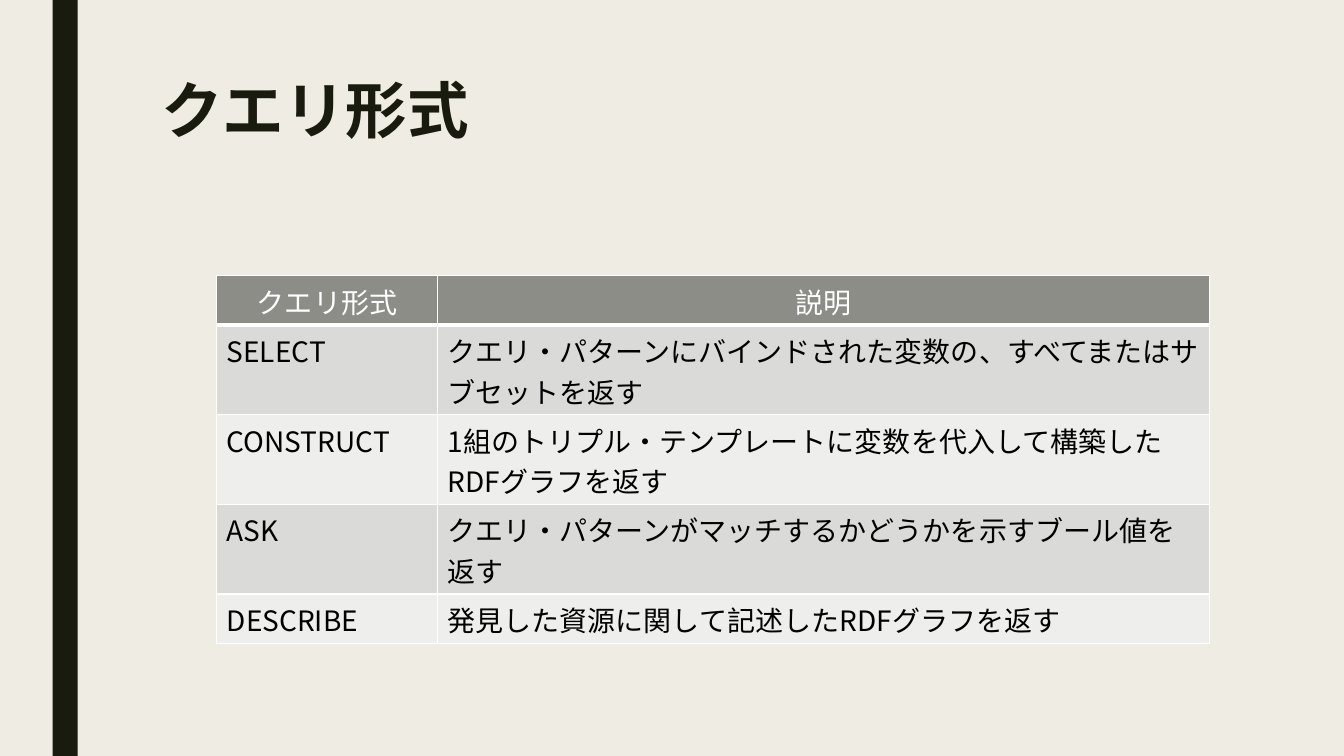
import pptx
import pptx.util
import pptx.dml.color
import pptx.enum.shapes
import pptx.enum.text
import pptx.oxml
import pptx.oxml.ns
from pptx.util import Pt

FONT = "Noto Sans CJK JP"
COLOURS = {
    "background": "EFEDE3",
    "dark": "191B0E",
    "header": "8C8D86",
    "odd": "DADBD9",
    "even": "EEEEED",
    "white": "FFFFFF",
    "black": "000000",
}
ONE_LINE = Pt(35.2)
TWO_LINES = Pt(64.1)
QUERY_FORMS = [
    (ONE_LINE, "クエリ形式", "説明"),
    (TWO_LINES, "SELECT", "クエリ・パターンにバインドされた変数の、すべてまたはサブセットを返す"),
    (TWO_LINES, "CONSTRUCT", "1組のトリプル・テンプレートに変数を代入して構築したRDFグラフを返す"),
    (TWO_LINES, "ASK", "クエリ・パターンがマッチするかどうかを示すブール値を返す"),
    (ONE_LINE, "DESCRIBE", "発見した資源に関して記述したRDFグラフを返す"),
]


def paint(fill, colour):
    fill.solid()
    fill.fore_color.rgb = pptx.dml.color.RGBColor.from_string(COLOURS[colour])


def write(frame, text, colour, paragraph_format, font_format):
    paragraph = frame.paragraphs[0]
    for key, value in paragraph_format.items():
        setattr(paragraph, key, value)
    run = paragraph.add_run()
    run.text = text
    paint(run.font.fill, colour)
    for key, value in {"name": FONT, **font_format}.items():
        setattr(run.font, key, value)
    east_asian = pptx.oxml.parse_xml(
        f'<a:ea {pptx.oxml.ns.nsdecls("a")} typeface="{FONT}"/>')
    run.font._element.append(east_asian)


def add_side_bar(slide, height):
    bar = slide.shapes.add_shape(
        pptx.enum.shapes.MSO_SHAPE.RECTANGLE, Pt(37.5), 0, Pt(18), height)
    bar.shadow.inherit = False
    bar.line.fill.background()
    paint(bar.fill, "dark")


def add_title(slide, text):
    title = slide.shapes.add_textbox(Pt(108), Pt(54), Pt(756), Pt(116.6))
    title.text_frame.word_wrap = True
    write(title.text_frame, text, "dark", {"line_spacing": 0.89},
          {"size": Pt(44), "bold": True})


def add_borders(cell, widths):
    properties = cell._tc.get_or_add_tcPr()
    for position, (side, width) in enumerate(widths.items()):
        border = pptx.oxml.parse_xml(
            f'<a:ln{side} {pptx.oxml.ns.nsdecls("a")} w="{Pt(width)}">'
            f'<a:solidFill><a:srgbClr val="{COLOURS["white"]}"/></a:solidFill>'
            f'</a:ln{side}>')
        properties.insert(position, border)


def add_query_table(slide, rows):
    column_widths = [Pt(157.7), Pt(551.5)]
    table = slide.shapes.add_table(
        len(rows), len(column_widths), Pt(154.8), Pt(196.8),
        sum(column_widths), sum(height for height, *_ in rows)).table
    table.first_row = False
    table.horz_banding = False
    for column, width in zip(table.columns, column_widths):
        column.width = width
    align = pptx.enum.text.PP_ALIGN
    for index, (height, *texts) in enumerate(rows):
        is_header = index == 0
        table.rows[index].height = height
        fill = "header" if is_header else "odd" if index % 2 else "even"
        colour = "white" if is_header else "black"
        alignment = align.CENTER if is_header else align.LEFT
        widths = {"L": 1, "R": 1, "T": 3 if index == 1 else 1,
                  "B": 3 if is_header else 1}
        for cell, text in zip(table.rows[index].cells, texts):
            paint(cell.fill, fill)
            add_borders(cell, widths)
            write(cell.text_frame, text, colour,
                  {"alignment": alignment}, {"size": Pt(20)})


def main():
    presentation = pptx.Presentation()
    presentation.slide_width = Pt(960)
    presentation.slide_height = Pt(540)
    slide = presentation.slides.add_slide(presentation.slide_layouts[6])
    paint(slide.background.fill, "background")
    add_side_bar(slide, presentation.slide_height)
    add_title(slide, "クエリ形式")
    add_query_table(slide, QUERY_FORMS)
    presentation.save("out.pptx")


if __name__ == "__main__":
    main()
